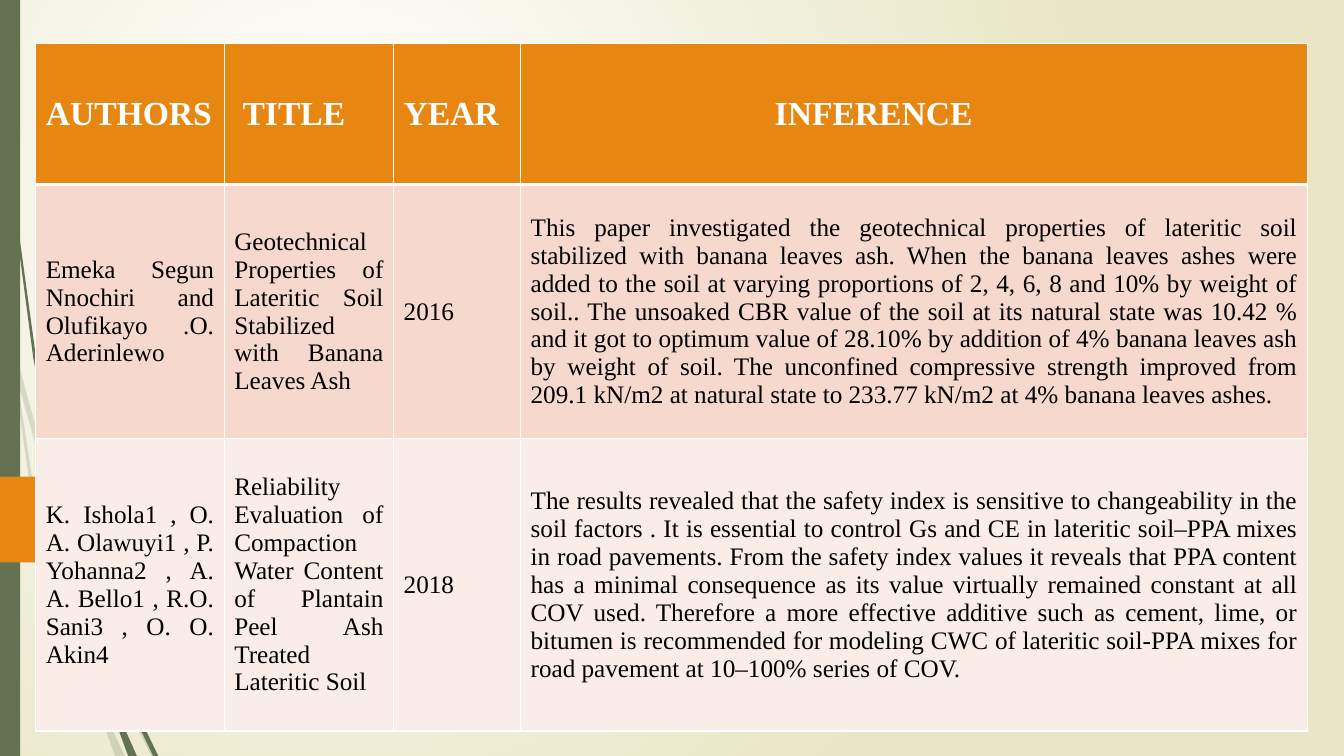
from lxml import etree
from pptx import Presentation
from pptx.dml.color import RGBColor
from pptx.enum.shapes import MSO_SHAPE
from pptx.enum.text import MSO_ANCHOR, PP_ALIGN
from pptx.oxml.ns import qn
from pptx.util import Cm, Pt

RECTANGLE = MSO_SHAPE.RECTANGLE
PENTAGON = MSO_SHAPE.PENTAGON
MIDDLE = MSO_ANCHOR.MIDDLE
JUSTIFY = PP_ALIGN.JUSTIFY

WHITE = RGBColor(0xFF, 0xFF, 0xFF)
BLACK = RGBColor(0, 0, 0)
SAND = RGBColor(0xE8, 0xE6, 0xC4)
MOSS = RGBColor(0x64, 0x72, 0x52)
ORANGE = RGBColor(0xE7, 0x87, 0x12)
PEACH = RGBColor(0xF6, 0xD9, 0xCC)
BLUSH = RGBColor(0xFA, 0xED, 0xE7)
FONT = "Times New Roman"

PALE_STEMS = [
    [(0.36, 8.76), (1.57, 13.21), (2.16, 14.88), (2.13, 15.21), (1.47, 13.26), (0.43, 9.55)],
    [(0.28, 8.89), (0.43, 9.55), (0.79, 11.91), (1.78, 15.72), (2.36, 17.35),
     (2.57, 18.14), (2.34, 17.6), (1.65, 15.77), (0.71, 11.94)],
    [(2.24, 15.14), (2.34, 15.42), (3.23, 17.58), (3.94, 19.05), (3.81, 19.05),
     (3.12, 17.63), (2.24, 15.49)],
    [(2.36, 17.35), (2.67, 18.06), (3.15, 19.05), (2.9, 19.05), (2.57, 18.14)],
]
DARK_STEMS = [
    [(0.08, 0), (0.18, 2.79), (0.43, 5.92), (0.84, 9.02), (1.45, 12.22), (1.4, 11.51),
     (0.91, 9.02), (0.48, 5.89), (0.2, 2.77), (0.1, 0)],
    [(2.79, 16.28), (2.87, 16.48), (3.45, 17.93), (3.99, 19.05), (3.86, 19.05),
     (3.35, 17.98), (2.82, 16.66)],
    [(2.79, 17.55), (3.1, 18.26), (3.45, 19.05), (3.23, 19.05), (2.97, 18.34)],
]

COLUMN_WIDTHS = [4.75, 4.27, 3.2, 19.84]
ROW_HEIGHTS = [3.56, 6.4, 7.37]
ROW_FILLS = [ORANGE, PEACH, BLUSH]
HEADING_INDENTS = [0, 0.21, 0, 6.15]
PAPERS = [
    ["AUTHORS", "TITLE", "YEAR", "INFERENCE"],
    ["Emeka Segun Nnochiri and Olufikayo .O. Aderinlewo",
     "Geotechnical Properties of Lateritic Soil Stabilized with Banana Leaves Ash",
     "2016",
     "This paper investigated the geotechnical properties of lateritic soil stabilized with "
     "banana leaves ash. When the banana leaves ashes were added to the soil at varying "
     "proportions of 2, 4, 6, 8 and 10% by weight of soil.. The unsoaked CBR value of the "
     "soil at its natural state was 10.42 % and it got to optimum value of 28.10% by addition "
     "of 4% banana leaves ash by weight of soil. The unconfined compressive strength improved "
     "from 209.1 kN/m2 at natural state to 233.77 kN/m2 at 4% banana leaves ashes."],
    ["K. Ishola1 , O. A. Olawuyi1 , P. Yohanna2 , A. A. Bello1 , R.O. Sani3 , O. O. Akin4",
     "Reliability Evaluation of Compaction Water Content of Plantain Peel Ash Treated "
     "Lateritic Soil",
     "2018",
     "The results revealed that the safety index is sensitive to changeability in the soil "
     "factors . It is essential to control Gs and CE in lateritic soil–PPA mixes in road "
     "pavements. From the safety index values it reveals that PPA content has a minimal "
     "consequence as its value virtually remained constant at all COV used. Therefore a more "
     "effective additive such as cement, lime, or bitumen is recommended for modeling CWC of "
     "lateritic soil-PPA mixes for road pavement at 10–100% series of COV."],
]


def paint_background(page):
    fill = page.background.fill
    fill.gradient()
    for stop, color in zip(fill.gradient_stops, (WHITE, SAND)):
        stop.color.rgb = color
    gradient = page.element.find(".//" + qn("a:gradFill"))
    gradient.remove(gradient.find(qn("a:lin")))
    circle = etree.SubElement(gradient, qn("a:path"))
    circle.set("path", "circle")
    focus = etree.SubElement(circle, qn("a:fillToRect"))
    for side, share in zip("ltrb", (50000, 50000, 100000, 100000)):
        focus.set(side, str(share))


def paint(shape, color, opacity=100):
    shape.shadow.inherit = False
    shape.fill.solid()
    shape.fill.fore_color.rgb = color
    shape.line.fill.background()
    if opacity < 100:
        tone = shape.fill._xPr.find(".//" + qn("a:srgbClr"))
        etree.SubElement(tone, qn("a:alpha")).set("val", str(opacity * 1000))


def add_stem(page, left, top, outline, opacity):
    points = [(Cm(left + x), Cm(top + y)) for x, y in outline]
    builder = page.shapes.build_freeform(*points[0], scale=1.0)
    builder.add_line_segments(points[1:], close=True)
    paint(builder.convert_to_shape(), MOSS, opacity)


def add_left_edge(page, left, top, height):
    for stems, opacity in ((PALE_STEMS, 20), (DARK_STEMS, 100)):
        for outline in stems:
            add_stem(page, left, top, outline, opacity)
    bar = page.shapes.add_shape(RECTANGLE, Cm(left), Cm(top), Cm(0.51), Cm(height))
    paint(bar, MOSS)
    tag = page.shapes.add_shape(PENTAGON, Cm(left), Cm(top + 12.01), Cm(4.85), Cm(2.16))
    paint(tag, ORANGE)


def add_border(cell, side, width):
    line = etree.SubElement(cell._tc.get_or_add_tcPr(), qn("a:ln" + side))
    line.set("w", str(Pt(width)))
    solid = etree.SubElement(line, qn("a:solidFill"))
    etree.SubElement(solid, qn("a:srgbClr")).set("val", str(WHITE))


def fill_cell(cell, text, row, column):
    heading = row == 0
    thick_side = ("B", "T")[row] if row < 2 else None
    for side in "LRTB":
        add_border(cell, side, 3 if side == thick_side else 1)
    cell.fill.solid()
    cell.fill.fore_color.rgb = ROW_FILLS[row]
    cell.vertical_anchor = MIDDLE
    para = cell.text_frame.paragraphs[0]
    para.alignment = JUSTIFY
    if heading:
        para._p.get_or_add_pPr().set("marL", str(Cm(HEADING_INDENTS[column])))
    span = para.add_run()
    span.text = text
    span.font.name = FONT
    span.font.size = Pt(24 if heading else 18)
    span.font.bold = heading
    span.font.color.rgb = WHITE if heading else BLACK


def add_paper_table(page, left, top):
    frame = page.shapes.add_table(
        len(ROW_HEIGHTS), len(COLUMN_WIDTHS), Cm(left), Cm(top),
        Cm(sum(COLUMN_WIDTHS)), Cm(sum(ROW_HEIGHTS)))
    table = frame.table
    for column, width in zip(table.columns, COLUMN_WIDTHS):
        column.width = Cm(width)
    for row, height in zip(table.rows, ROW_HEIGHTS):
        row.height = Cm(height)
    for row, texts in enumerate(PAPERS):
        for column, text in enumerate(texts):
            fill_cell(table.cell(row, column), text, row, column)


def main():
    deck = Presentation()
    deck.slide_width = Cm(33.87)
    deck.slide_height = Cm(19.05)
    page = deck.slides.add_slide(deck.slide_layouts[6])
    paint_background(page)
    add_left_edge(page, 0, 0, 19.05)
    add_paper_table(page, 0.9, 1.09)
    deck.save("out.pptx")


if __name__ == "__main__":
    main()
